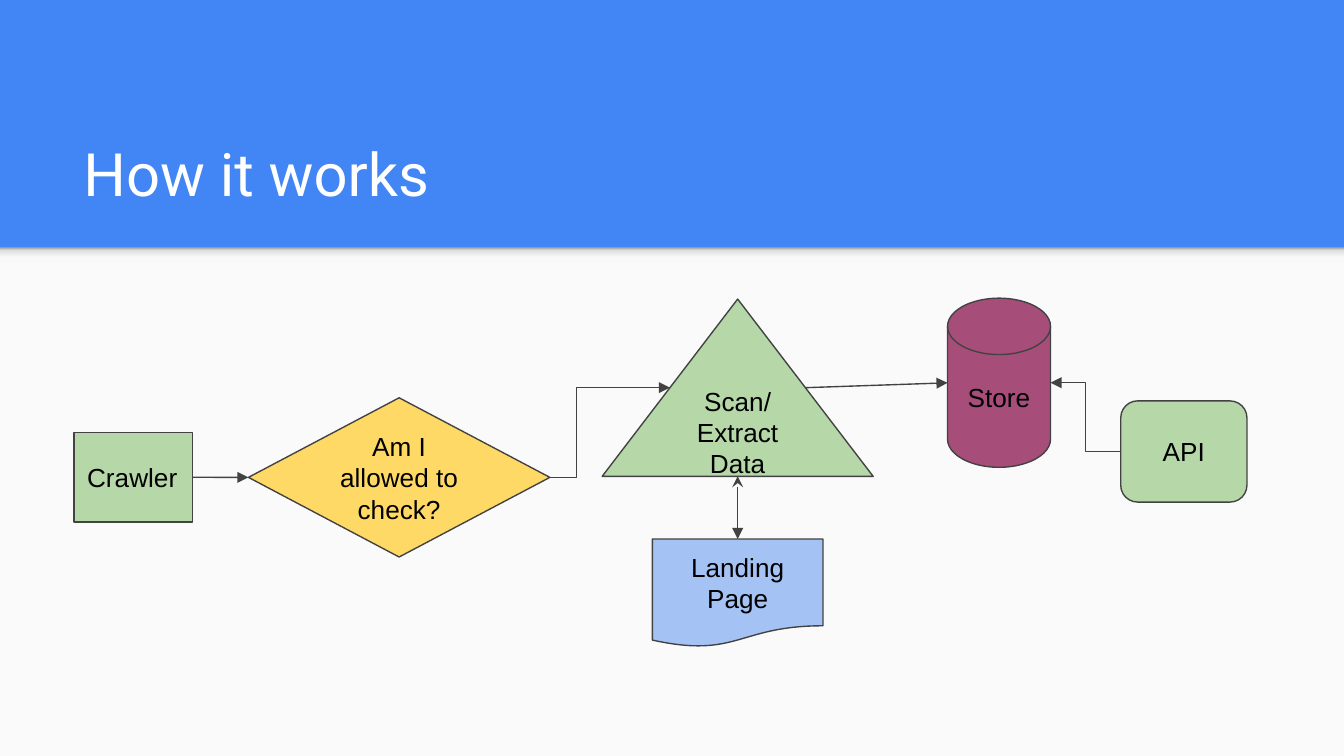
from dataclasses import dataclass

from lxml import etree
from pptx import Presentation
from pptx.dml.color import RGBColor
from pptx.enum.shapes import MSO_CONNECTOR as CONN, MSO_SHAPE as SHAPE
from pptx.enum.text import MSO_ANCHOR as ANCHOR, MSO_AUTO_SIZE, PP_ALIGN as ALIGN
from pptx.oxml import parse_xml
from pptx.oxml.ns import nsdecls, qn
from pptx.util import Pt


@dataclass(frozen=True)
class Theme:
    header: str = "4285F4"
    body: str = "FAFAFA"
    title: str = "FFFFFF"
    text: str = "000000"
    line: str = "424242"
    green: str = "B6D7A8"
    yellow: str = "FFD966"
    blue: str = "A4C2F4"
    plum: str = "A64D79"
    shade: tuple = ((0, "F9F9F9"), (36, "F9F9F9"), (80, "DEDEDE"), (100, "999999"))
    title_font: str = "Roboto"
    text_font: str = "Arial"
    title_size: int = 32
    text_size: int = 14
    line_width: float = 0.75
    inset: float = 7.2


THEME = Theme()
WIDTH, HEIGHT, HEADER_HEIGHT = 720, 405, 132.5


def rgb(value):
    return RGBColor.from_string(value)


def add_box(slide, kind, box, fill, line=None):
    s = slide.shapes.add_shape(kind, *map(Pt, box))
    s.shadow.inherit = False
    s.fill.solid()
    s.fill.fore_color.rgb = rgb(fill)
    if line:
        s.line.color.rgb = rgb(line)
        s.line.width = Pt(THEME.line_width)
    else:
        s.line.fill.background()
    return s


def write(shape, text, font, size, color, align, anchor):
    tf = shape.text_frame
    tf.word_wrap = True
    tf.auto_size = MSO_AUTO_SIZE.NONE
    tf.vertical_anchor = anchor
    tf.margin_left = tf.margin_right = Pt(THEME.inset)
    tf.margin_top = tf.margin_bottom = Pt(THEME.inset)
    p = tf.paragraphs[0]
    p.alignment = align
    r = p.add_run()
    r.text = text
    r.font.name = font
    r.font.size = Pt(size)
    r.font.color.rgb = rgb(color)


def add_body_panel(slide, box):
    """Light panel with a soft shade along its top edge."""
    add_box(slide, SHAPE.RECTANGLE, box, THEME.body)
    left, top, width, _ = box
    shade = add_box(slide, SHAPE.RECTANGLE, (left, top, width, 8.5), THEME.body)
    stops = "".join(
        f'<a:gs pos="{pos * 1000}"><a:srgbClr val="{color}"/></a:gs>'
        for pos, color in THEME.shade)
    solid = shade._element.spPr.find(qn("a:solidFill"))
    solid.getparent().replace(solid, parse_xml(
        f'<a:gradFill {nsdecls("a")}><a:gsLst>{stops}</a:gsLst>'
        '<a:lin ang="16200000" scaled="0"/></a:gradFill>'))


def add_title(slide, box, text):
    s = slide.shapes.title
    s.left, s.top, s.width, s.height = map(Pt, box)
    write(s, text, THEME.title_font, THEME.title_size, THEME.title,
          ALIGN.LEFT, ANCHOR.BOTTOM)


def add_node(slide, kind, box, fill, text, align=ALIGN.CENTER):
    s = add_box(slide, kind, box, fill, THEME.line)
    write(s, text, THEME.text_font, THEME.text_size, THEME.text,
          align, ANCHOR.MIDDLE)
    return s


def add_arrow(slide, start, end, kind=CONN.STRAIGHT, head=None, bend=None):
    """Arrow from start to end; bend is the elbow's place along the width."""
    c = slide.shapes.add_connector(kind, *map(Pt, (*start, *end)))
    c.line.color.rgb = rgb(THEME.line)
    c.line.width = Pt(THEME.line_width)
    ln = c.line._get_or_add_ln()
    if head:
        etree.SubElement(ln, qn("a:headEnd"), type=head)
    etree.SubElement(ln, qn("a:tailEnd"), type="triangle")
    sp_pr = c._element.spPr
    etree.SubElement(sp_pr, qn("a:effectLst"))
    if bend is not None:
        guides = sp_pr.find(qn("a:prstGeom")).get_or_add_avLst()
        etree.SubElement(guides, qn("a:gd"), name="adj1",
                         fmla=f"val {round(bend * 100000)}")
    return c


def add_flow(slide, box):
    """Flow chart; places are relative to the box's top left corner."""
    x0, y0, _, _ = box

    def at(x, y):
        return x0 + x, y0 + y

    def node(kind, x, y, w, h, fill, text, align=ALIGN.CENTER):
        return add_node(slide, kind, (*at(x, y), w, h), fill, text, align)

    crawler = node(SHAPE.FLOWCHART_PROCESS, 0, 72, 63.5, 47.8,
                   THEME.green, "Crawler", ALIGN.LEFT)
    check = node(SHAPE.FLOWCHART_DECISION, 93.5, 53.3, 161.5, 85.3,
                 THEME.yellow, "Am I allowed to check?")
    page = node(SHAPE.FLOWCHART_DOCUMENT, 309.9, 129, 91.4, 58,
                THEME.blue, "Landing Page")
    scan = node(SHAPE.FLOWCHART_EXTRACT, 283, 0.4, 145.2, 95,
                THEME.green, "Scan/ Extract Data")
    node(SHAPE.FLOWCHART_MAGNETIC_DISK, 468, 0, 55.2, 90.6,
         THEME.plum, "Store")
    node(SHAPE.FLOWCHART_ALTERNATE_PROCESS, 560.8, 55, 67.6, 54.2,
         THEME.green, "API")

    to_check = add_arrow(slide, at(63.5, 95.9), at(93.5, 95.9))
    to_check.begin_connect(crawler, 3)
    to_check.end_connect(check, 1)
    scan_page = add_arrow(slide, at(355.6, 95.4), at(355.6, 129), head="stealth")
    scan_page.begin_connect(scan, 2)
    scan_page.end_connect(page, 0)
    add_arrow(slide, at(255, 95.9), at(319.3, 47.9), CONN.ELBOW, bend=0.22)
    add_arrow(slide, at(391.9, 47.9), at(468, 45.3))
    add_arrow(slide, at(560.8, 82.1), at(523.2, 45.3), CONN.ELBOW, bend=0.5)


def main():
    prs = Presentation()
    prs.slide_width, prs.slide_height = Pt(WIDTH), Pt(HEIGHT)
    slide = prs.slides.add_slide(prs.slide_layouts[5])
    slide.background.fill.solid()
    slide.background.fill.fore_color.rgb = rgb(THEME.header)
    add_body_panel(slide, (0, HEADER_HEIGHT, WIDTH, HEIGHT - HEADER_HEIGHT))
    add_title(slide, (37.5, 58.2, 647, 60.5), "How it works")
    add_flow(slide, (39.6, 159.8, 628.4, 187))
    prs.save("out.pptx")


if __name__ == "__main__":
    main()
